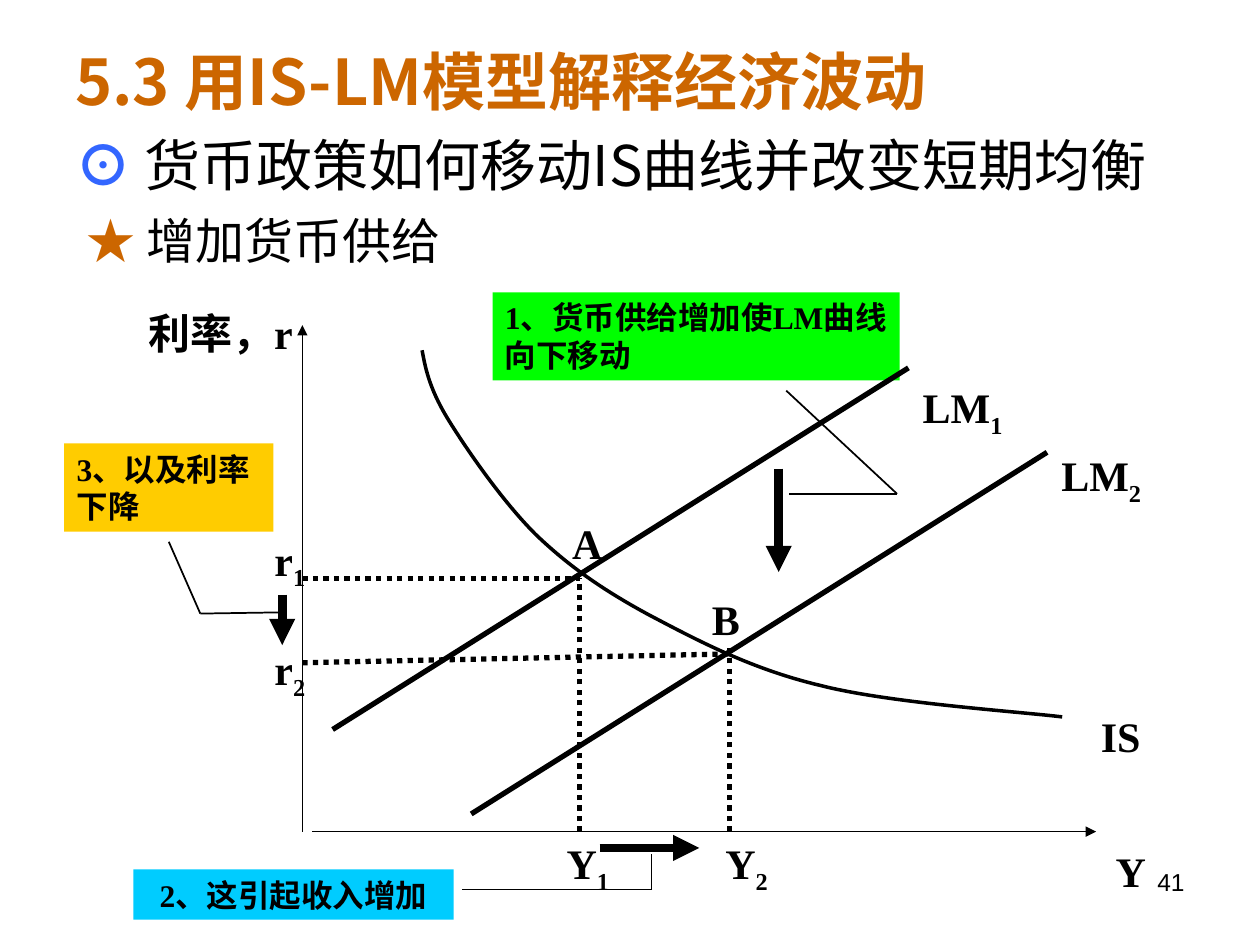
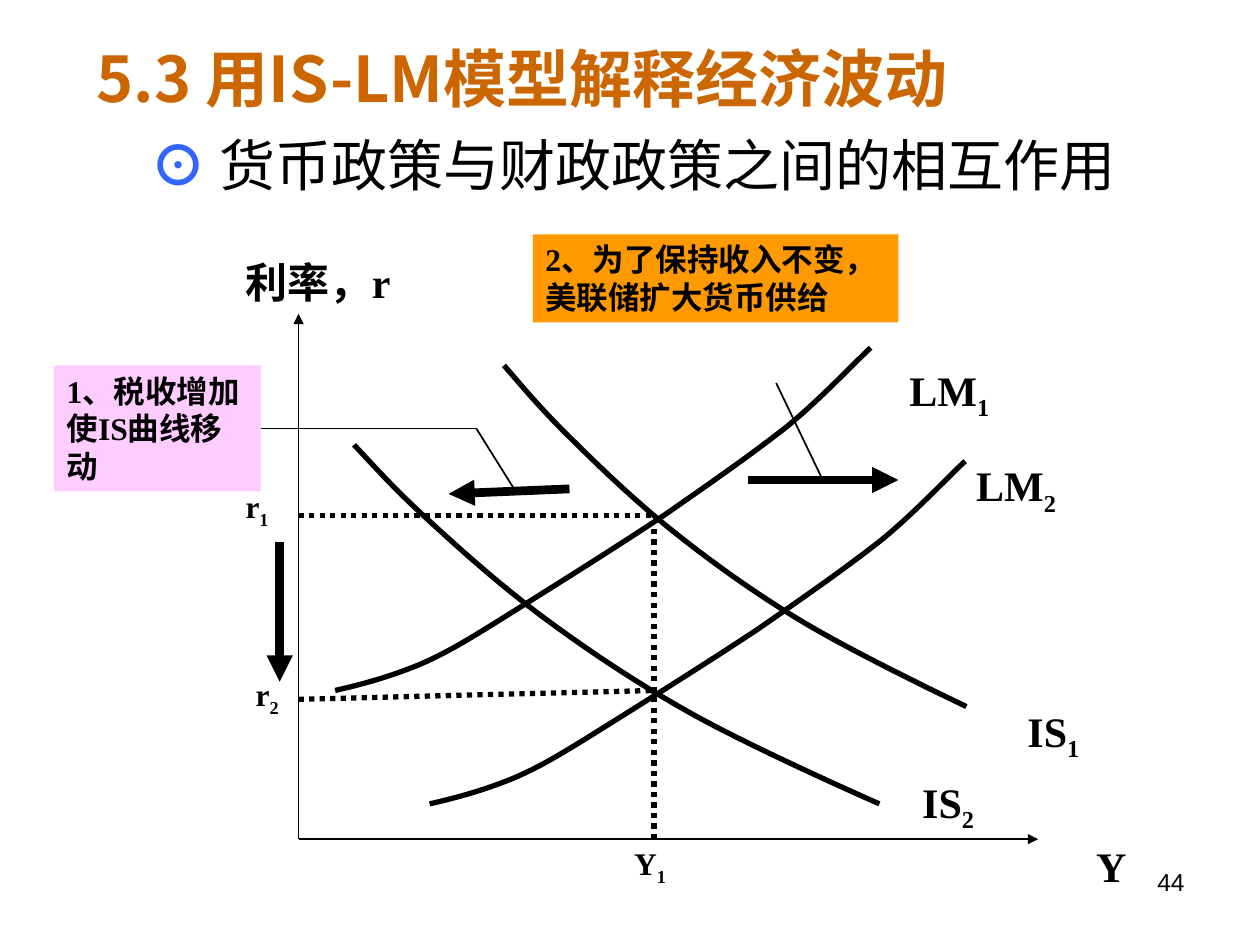
from itertools import pairwise

from lxml import etree
from pptx import Presentation
from pptx.dml.color import RGBColor
from pptx.enum.dml import MSO_LINE
from pptx.enum.shapes import MSO_CONNECTOR, MSO_SHAPE
from pptx.enum.text import MSO_ANCHOR, PP_ALIGN
from pptx.oxml.ns import qn
from pptx.util import Inches, Pt

BLACK = RGBColor(0x00, 0x00, 0x00)
TITLE_ORANGE = RGBColor(0xCC, 0x66, 0x00)
BULLET_BLUE = RGBColor(0x33, 0x66, 0xFF)
CYAN = RGBColor(0x00, 0xCC, 0xFF)
GREEN = RGBColor(0x00, 0xFF, 0x00)
GOLD = RGBColor(0xFF, 0xCC, 0x00)
ORANGE = RGBColor(0xFF, 0x99, 0x00)
PINK = RGBColor(0xFF, 0xCC, 0xFF)

SANS, SERIF, NUMBER_FONT = "Noto Sans CJK SC", "Times New Roman", "Arial"
LEFT, CENTER, RIGHT = PP_ALIGN.LEFT, PP_ALIGN.CENTER, PP_ALIGN.RIGHT
TOP, MIDDLE = MSO_ANCHOR.TOP, MSO_ANCHOR.MIDDLE
STRAIGHT, RECTANGLE = MSO_CONNECTOR.STRAIGHT, MSO_SHAPE.RECTANGLE
DOTTED = MSO_LINE.ROUND_DOT
RIGHT_SIDE = 3

TITLE = "5.3 用IS-LM模型解释经济波动"
THIN, MEDIUM, HEAVY, BLOCK = 1, 2, 3, 5

# Steps from a curve's first point, in inches: three per Bezier segment
IS_SLOPE = [(0.16, 0.17), (0.31, 0.34), (0.56, 0.57),
            (0.81, 0.8), (1.13, 1.09), (1.49, 1.36),
            (1.84, 1.62), (2.24, 1.89), (2.69, 2.14),
            (3.14, 2.39), (3.92, 2.74), (4.17, 2.85)]
LM_SLOPE = [(0.22, -0.05), (0.44, -0.11), (0.68, -0.21),
            (0.91, -0.31), (1.1, -0.43), (1.42, -0.63),
            (1.74, -0.83), (2.25, -1.15), (2.61, -1.39),
            (2.97, -1.64), (3.3, -1.87), (3.58, -2.09),
            (3.85, -2.31), (4.13, -2.61), (4.25, -2.72)]
IS_FLATTENING = [(0.03, 0.17), (0.07, 0.33), (0.22, 0.57),
                 (0.37, 0.81), (0.64, 1.2), (0.9, 1.46),
                 (1.16, 1.71), (1.43, 1.9), (1.8, 2.1),
                 (2.18, 2.3), (2.61, 2.53), (3.16, 2.66),
                 (3.7, 2.8), (4.76, 2.87), (5.08, 2.91)]


def inches(*lengths):
    return [Inches(length) for length in lengths]


def add_run(paragraph, text, size, color=BLACK, font=SERIF, bold=True, subscript=False):
    run = paragraph.add_run()
    run.text = text
    style = {"size": Pt(size), "name": font, "bold": bold}
    for attribute, value in style.items():
        setattr(run.font, attribute, value)
    run.font.color.rgb = color
    properties = run._r.get_or_add_rPr()
    etree.SubElement(properties, qn("a:ea"), typeface=SANS)
    if subscript:
        properties.set("baseline", "-25000")


def add_text(slide, box, align=LEFT, anchor=TOP, wrap=True):
    """Add an empty text box and return its first paragraph."""
    frame = slide.shapes.add_textbox(*inches(*box)).text_frame
    frame.word_wrap = wrap
    frame.vertical_anchor = anchor
    frame.paragraphs[0].alignment = align
    return frame.paragraphs[0]


def add_title(slide, box):
    add_run(add_text(slide, box, anchor=MIDDLE), TITLE, 36, TITLE_ORANGE, SANS)


def add_page_number(slide, number):
    paragraph = add_text(slide, (7.17, 6.83, 2.33, 0.52), RIGHT)
    add_run(paragraph, number, 14, font=NUMBER_FONT, bold=False)


def add_point(paragraph, marker, text, size, marker_color, marker_bold):
    add_run(paragraph, marker + " ", size, marker_color, SANS, marker_bold)
    add_run(paragraph, text, size, font=SANS, bold=False)


def set_indent(paragraph, margin, first_line):
    properties = paragraph._p.get_or_add_pPr()
    properties.set("marL", str(Inches(margin)))
    properties.set("indent", str(Inches(first_line)))


def add_label(slide, text, box, subscript="", size=24):
    paragraph = add_text(slide, box, CENTER, wrap=False)
    add_run(paragraph, text, size)
    if subscript:
        add_run(paragraph, subscript, size, subscript=True)


def add_callout(slide, text, box, fill, align=LEFT):
    callout = slide.shapes.add_shape(RECTANGLE, *inches(*box))
    callout.shadow.inherit = False
    callout.fill.solid()
    callout.fill.fore_color.rgb = fill
    callout.line.fill.background()
    frame = callout.text_frame
    frame.word_wrap = True
    frame.vertical_anchor = TOP
    frame.paragraphs[0].alignment = align
    add_run(frame.paragraphs[0], text, 18)
    return callout


def add_line(slide, start, end, width=THIN, dash=None, arrow=False):
    connector = slide.shapes.add_connector(STRAIGHT, *inches(*start, *end))
    connector.line.width = Pt(width)
    connector.line.color.rgb = BLACK
    if dash:
        connector.line.dash_style = dash
    if arrow:
        etree.SubElement(connector.line._get_or_add_ln(), qn("a:tailEnd"), type="triangle")
    etree.SubElement(connector._element.spPr, qn("a:effectLst"))
    return connector


def add_leader(slide, *points):
    """Run a thin line through the points and return its segments."""
    return [add_line(slide, start, end) for start, end in pairwise(points)]


def add_curve(slide, start, steps, width=HEAVY, scale=(1, 1)):
    """Draw Bezier segments whose control points are given as steps from start."""
    points = [inches(start[0] + dx * scale[0], start[1] + dy * scale[1]) for dx, dy in steps]
    builder = slide.shapes.build_freeform(*inches(*start))
    builder.add_line_segments(points, close=False)
    curve = builder.convert_to_shape()
    curve.shadow.inherit = False
    curve.fill.background()
    curve.line.color.rgb = BLACK
    curve.line.width = Pt(width)
    segments = list(curve._element.iter(qn("a:lnTo")))
    for first in range(0, len(segments), 3):
        bezier = etree.Element(qn("a:cubicBezTo"))
        segments[first].addprevious(bezier)
        for segment in segments[first:first + 3]:
            bezier.append(segment[0])
            segment.getparent().remove(segment)


def build_money_supply_slide(slide):
    add_title(slide, (0.5, 0.13, 9, 1.02))
    policy = add_text(slide, (0.5, 0.99, 9, 5.47))
    set_indent(policy, 0.38, -0.38)
    add_point(policy, "⊙", "货币政策如何移动IS曲线并改变短期均衡", 32, BULLET_BLUE, True)
    supply = slide.shapes[-1].text_frame.add_paragraph()
    supply.space_before = Pt(7)
    set_indent(supply, 0.38, -0.29)
    add_point(supply, "★", "增加货币供给", 28, TITLE_ORANGE, False)
    add_page_number(slide, "41")

    add_callout(slide, "1、货币供给增加使LM曲线向下移动", (3.91, 2.32, 3.23, 0.7), GREEN)
    add_leader(slide, (6.24, 3.1), (7.12, 3.92), (6.26, 3.92))
    add_callout(slide, "2、这引起收入增加", (1.06, 6.9, 2.54, 0.4), CYAN, CENTER)
    add_leader(slide, (3.67, 7.06), (5.17, 7.06), (5.17, 6.78))
    add_callout(slide, "3、以及利率下降", (0.51, 3.52, 1.66, 0.7), GOLD)
    add_leader(slide, (1.34, 4.3), (1.59, 4.87), (2.24, 4.86))

    add_line(slide, (2.4, 6.6), (2.4, 2.58), arrow=True)
    add_line(slide, (2.48, 6.6), (8.7, 6.6), arrow=True)
    add_curve(slide, (3.35, 2.78), IS_FLATTENING, MEDIUM)
    for left, bottom in ((2.64, 5.79), (3.74, 6.46)):
        add_line(slide, (left, bottom), (left + 4.57, bottom - 2.87), HEAVY)
    for start, end in (((2.4, 4.59), (4.6, 4.59)), ((4.6, 6.6), (4.6, 4.59)),
                       ((2.4, 5.26), (5.79, 5.19)), ((5.79, 6.6), (5.79, 5.13))):
        add_line(slide, start, end, HEAVY, DOTTED)
    for start, end in (((6.18, 3.72), (6.18, 4.54)), ((4.76, 6.73), (5.55, 6.73)),
                       ((2.24, 4.72), (2.24, 5.12))):
        add_line(slide, start, end, BLOCK, arrow=True)

    add_label(slide, "利率，r", (0.92, 2.39, 1.66, 0.5))
    add_label(slide, "Y", (8.54, 6.66, 0.87, 0.5))
    add_label(slide, "IS", (8.46, 5.59, 0.87, 0.5))
    add_label(slide, "A", (4.37, 4.06, 0.58, 0.5))
    add_label(slide, "B", (5.47, 4.66, 0.58, 0.5))
    for text, subscript, left, top, width in (
            ("LM", "1", 7.13, 2.98, 1.02), ("LM", "2", 8.23, 3.52, 1.02),
            ("r", "1", 2.01, 4.19, 0.58), ("r", "2", 2.01, 5.06, 0.58),
            ("Y", "1", 4.29, 6.6, 0.75), ("Y", "2", 5.55, 6.6, 0.75)):
        add_label(slide, text, (left, top, width, 0.56), subscript)


def build_policy_interaction_slide(slide):
    add_title(slide, (0.67, 0.17, 8.33, 0.88))
    interaction = add_text(slide, (1.07, 0.99, 7.92, 0.64), CENTER, wrap=False)
    add_point(interaction, "⊙", "货币政策与财政政策之间的相互作用", 32, BULLET_BLUE, True)
    add_page_number(slide, "44")

    tax_rise = add_callout(slide, "1、税收增加使IS曲线移动", (0.43, 2.9, 1.64, 1), PINK)
    tax_leader = add_leader(slide, (2.07, 3.4), (3.78, 3.4), (4.08, 3.88))
    tax_leader[0].begin_connect(tax_rise, RIGHT_SIDE)
    add_callout(slide, "2、为了保持收入不变，美联储扩大货币供给", (4.23, 1.86, 2.9, 0.7), ORANGE)
    add_leader(slide, (6.16, 3.04), (6.53, 3.81))

    origin = (2.37, 6.66)
    add_line(slide, origin, (2.37, 2.49), arrow=True)
    add_line(slide, origin, (8.24, 6.66), arrow=True)
    add_curve(slide, (4, 2.9), IS_SLOPE, scale=(0.88, 0.95))
    add_curve(slide, (2.81, 3.53), IS_SLOPE)
    for start in ((2.66, 5.48), (3.41, 6.38)):
        add_curve(slide, start, LM_SLOPE)
    for start, end in (((2.37, 4.09), (5.19, 4.09)), ((2.37, 5.55), (5.19, 5.48)),
                       ((5.19, 6.66), (5.19, 4.16))):
        add_line(slide, start, end, HEAVY, DOTTED)
    for start, end in (((4.52, 3.88), (3.56, 3.92)), ((5.94, 3.81), (7.13, 3.81)),
                       ((2.22, 4.3), (2.22, 5.41))):
        add_line(slide, start, end, BLOCK, arrow=True)

    add_label(slide, "利率，r", (1.74, 1.99, 1.57, 0.5))
    add_label(slide, "Y", (8.5, 6.62, 0.64, 0.5))
    for text, subscript, left, top, width in (
            ("LM", "1", 7.05, 2.84, 0.97), ("LM", "2", 7.58, 3.6, 0.97),
            ("IS", "1", 7.95, 5.55, 0.82), ("IS", "2", 7.13, 6.11, 0.79)):
        add_label(slide, text, (left, top, width, 0.56), subscript)
    for text, subscript, left, top in (
            ("r", "1", 1.75, 3.82), ("r", "2", 1.83, 5.31), ("Y", "1", 4.87, 6.65)):
        add_label(slide, text, (left, top, 0.58, 0.44), subscript, size=18)


def main():
    presentation = Presentation()
    presentation.slide_width, presentation.slide_height = inches(10, 7.5)
    blank = presentation.slide_layouts[6]
    for build in (build_money_supply_slide, build_policy_interaction_slide):
        build(presentation.slides.add_slide(blank))
    presentation.save("out.pptx")


if __name__ == "__main__":
    main()
